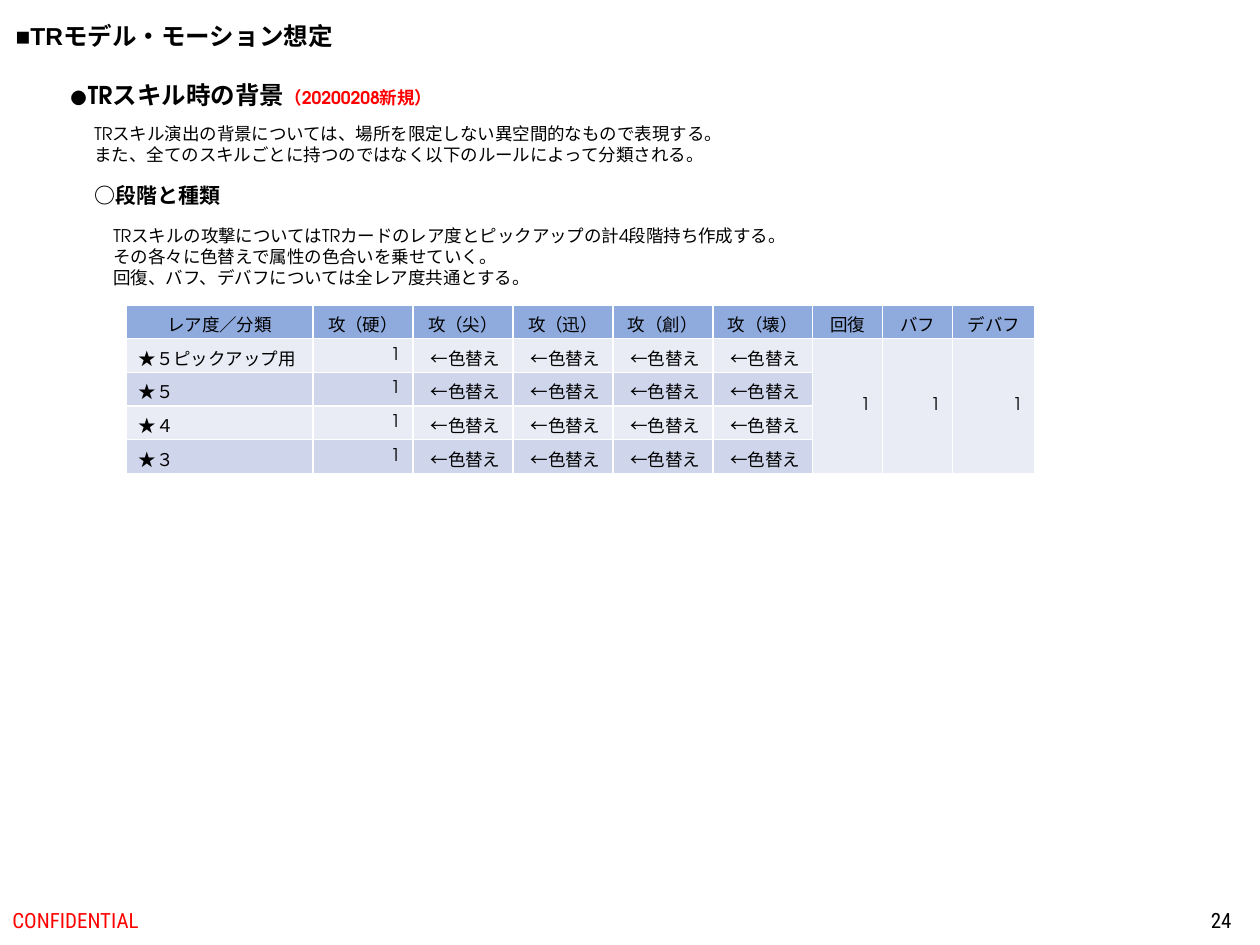
from pptx import Presentation
from pptx.dml.color import RGBColor
from pptx.enum.text import MSO_ANCHOR, MSO_AUTO_SIZE, PP_ALIGN
from pptx.util import Pt

PX = 914400 / 126
BLACK = RGBColor(0x00, 0x00, 0x00)
RED = RGBColor(0xFF, 0x00, 0x00)
HEADER = RGBColor(0x8F, 0xAA, 0xDC)
BANDS = [RGBColor(0xE9, 0xEB, 0xF5), RGBColor(0xCF, 0xD5, 0xEA)]
HEADING_FONT, BODY_FONT, FOOTER_FONT = "Arial", "TeX Gyre Adventor", "Roboto Condensed"

# A run is (text, font, size, colour, bold)
TITLE = ("■TRモデル・モーション想定", HEADING_FONT, 14, BLACK, True)
TITLE_BOX = (3, 15, 358, 43)

# (left, top, width, height), paragraphs of runs
SECTIONS = [
    ((57, 74, 406, 43), [[
        ("●TRスキル時の背景", BODY_FONT, 14, BLACK, True),
        ("（20200208新規）", BODY_FONT, 10, RED, True),
    ]]),
    ((82, 117, 663, 55), [
        [("TRスキル演出の背景については、場所を限定しない異空間的なもので表現する。", BODY_FONT, 10, BLACK, False)],
        [("また、全てのスキルごとに持つのではなく以下のルールによって分類される。", BODY_FONT, 10, BLACK, False)],
    ]),
    ((82, 176, 152, 38), [[("○段階と種類", BODY_FONT, 12, BLACK, True)]]),
    ((101, 219, 708, 77), [
        [("TRスキルの攻撃についてはTRカードのレア度とピックアップの計4段階持ち作成する。", BODY_FONT, 10, BLACK, False)],
        [("その各々に色替えで属性の色合いを乗せていく。", BODY_FONT, 10, BLACK, False)],
        [("回復、バフ、デバフについては全レア度共通とする。", BODY_FONT, 10, BLACK, False)],
    ]),
]
FOOTERS = [
    ((0, 895, 426, 50), "CONFIDENTIAL", RED, PP_ALIGN.LEFT),
    ((960, 895, 284, 50), "24", BLACK, PP_ALIGN.RIGHT),
]

ATTACKS = ["攻（硬）", "攻（尖）", "攻（迅）", "攻（創）", "攻（壊）"]
SHARED = ["回復", "バフ", "デバフ"]
RARITIES = ["★５ピックアップ用", "★５", "★４", "★３"]
ATTACK_VALUES = ["1"] + ["←色替え"] * (len(ATTACKS) - 1)
COLUMN_WIDTHS = [187] + [100] * len(ATTACKS) + [70, 70, 82]
TABLE_LEFT, TABLE_TOP, ROW_HEIGHT = 126, 305, 33


def px(value):
    return round(value * PX)


def add_runs(paragraph, runs):
    for text, font, size, color, bold in runs:
        run = paragraph.add_run()
        run.text = text
        run.font.name = font
        run.font.size = Pt(size)
        run.font.bold = bold
        run.font.color.rgb = color


def add_text(slide, box, paragraphs):
    shape = slide.shapes.add_textbox(*map(px, box))
    frame = shape.text_frame
    for index, runs in enumerate(paragraphs):
        paragraph = frame.add_paragraph() if index else frame.paragraphs[0]
        add_runs(paragraph, runs)
    return frame


def fit_to_text(frame):
    frame.word_wrap = False
    frame.auto_size = MSO_AUTO_SIZE.SHAPE_TO_FIT_TEXT


def add_title(slide):
    title = slide.shapes.title
    title.left, title.top, title.width, title.height = map(px, TITLE_BOX)
    frame = title.text_frame
    frame.vertical_anchor = MSO_ANCHOR.TOP
    fit_to_text(frame)
    frame.paragraphs[0].alignment = PP_ALIGN.LEFT
    add_runs(frame.paragraphs[0], [TITLE])


def fill_cell(cell, text, color, alignment):
    cell.fill.solid()
    cell.fill.fore_color.rgb = color
    cell.vertical_anchor = MSO_ANCHOR.MIDDLE
    paragraph = cell.text_frame.paragraphs[0]
    paragraph.alignment = alignment
    add_runs(paragraph, [(text, BODY_FONT, 10, BLACK, False)])


def add_rarity_table(slide):
    row_count = len(RARITIES) + 1
    table = slide.shapes.add_table(
        row_count, len(COLUMN_WIDTHS), px(TABLE_LEFT), px(TABLE_TOP),
        px(sum(COLUMN_WIDTHS)), px(ROW_HEIGHT * row_count)).table
    table.first_row = False
    table.horz_banding = False
    for column, width in zip(table.columns, COLUMN_WIDTHS):
        column.width = px(width)

    for column, text in enumerate(["レア度／分類"] + ATTACKS + SHARED):
        fill_cell(table.cell(0, column), text, HEADER, PP_ALIGN.CENTER)
    for row, rarity in enumerate(RARITIES, 1):
        color = BANDS[(row - 1) % 2]
        fill_cell(table.cell(row, 0), rarity, color, PP_ALIGN.LEFT)
        for column, text in enumerate(ATTACK_VALUES, 1):
            fill_cell(table.cell(row, column), text, color, PP_ALIGN.RIGHT)
    for column in range(len(ATTACKS) + 1, len(COLUMN_WIDTHS)):
        cell = table.cell(1, column)
        cell.merge(table.cell(row_count - 1, column))
        fill_cell(cell, "1", BANDS[0], PP_ALIGN.RIGHT)


def main():
    presentation = Presentation()
    presentation.slide_width, presentation.slide_height = px(1260), px(945)
    slide = presentation.slides.add_slide(presentation.slide_layouts[5])
    add_title(slide)
    for box, text, color, alignment in FOOTERS:
        frame = add_text(slide, box, [[(text, FOOTER_FONT, 12, color, False)]])
        frame.word_wrap = True
        frame.vertical_anchor = MSO_ANCHOR.MIDDLE
        frame.paragraphs[0].alignment = alignment
    for box, paragraphs in SECTIONS:
        fit_to_text(add_text(slide, box, paragraphs))
    add_rarity_table(slide)
    presentation.save("out.pptx")


if __name__ == "__main__":
    main()
